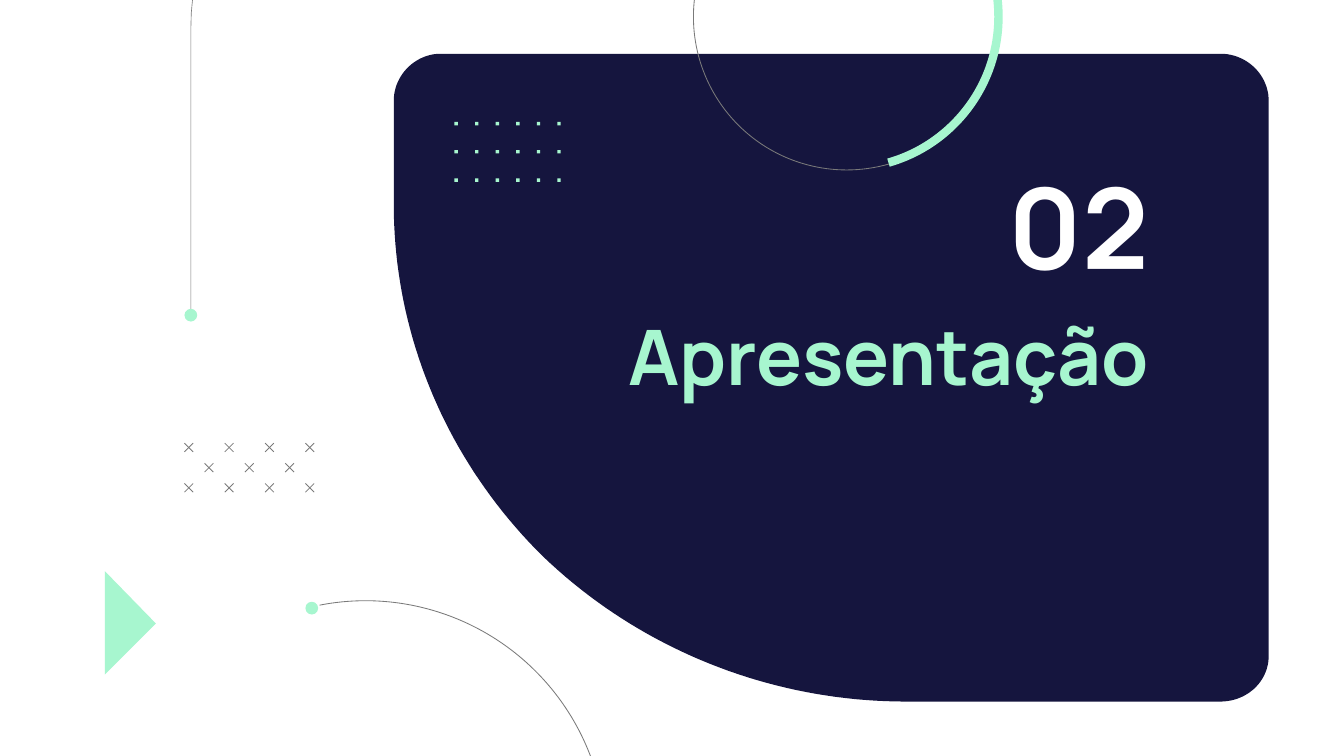
from dataclasses import dataclass
from typing import NamedTuple

from pptx import Presentation
from pptx.dml.color import RGBColor
from pptx.enum.shapes import MSO_CONNECTOR, MSO_SHAPE
from pptx.enum.text import MSO_ANCHOR, PP_ALIGN
from pptx.oxml.ns import qn
from pptx.util import Inches, Pt
from lxml import etree

ARC, OVAL, RECT = MSO_SHAPE.ARC, MSO_SHAPE.OVAL, MSO_SHAPE.RECTANGLE
STRAIGHT = MSO_CONNECTOR.STRAIGHT
TOP, BOTTOM = MSO_ANCHOR.TOP, MSO_ANCHOR.BOTTOM
RIGHT = PP_ALIGN.RIGHT

COLUMNS, ROWS = 100, 56.25
CELL = Inches(0.1)
CURVE_STEPS = 40
ARC_DEGREE = 0.6


@dataclass(frozen=True)
class Theme:
    navy: RGBColor = RGBColor.from_string("15153E")
    mint: RGBColor = RGBColor.from_string("A7F6CF")
    grey: RGBColor = RGBColor.from_string("7A7A7A")
    white: RGBColor = RGBColor.from_string("FFFFFF")
    font: str = "Manrope"
    number_size: float = 60
    title_size: float = 41
    hairline: float = 0.35
    thin: float = 0.44
    thick: float = 4.5


class Point(NamedTuple):
    col: float
    row: float


class Label(NamedTuple):
    text: str
    col: float
    row: float
    cols: float
    rows: float
    size: float
    color: RGBColor
    anchor: MSO_ANCHOR
    bottom_inset: float


class Arc(NamedTuple):
    center: Point
    radius: float
    start: float
    end: float
    color: RGBColor
    width: float


class Grid(NamedTuple):
    origin: Point
    columns: int
    rows: int
    col_step: float
    row_step: float

    def points(self) -> list[Point]:
        return [Point(self.origin.col + i * self.col_step, self.origin.row + j * self.row_step)
                for j in range(self.rows) for i in range(self.columns)]


def cells(*values: float) -> list[int]:
    return [round(v * CELL) for v in values]


def curve(a: Point, b: Point, c: Point, d: Point) -> list[Point]:
    points = []
    for i in range(CURVE_STEPS + 1):
        t = i / CURVE_STEPS
        weights = ((1 - t) ** 3, 3 * t * (1 - t) ** 2, 3 * t * t * (1 - t), t ** 3)
        points.append(Point(sum(w * p.col for w, p in zip(weights, (a, b, c, d))),
                            sum(w * p.row for w, p in zip(weights, (a, b, c, d)))))
    return points


def paint_fill(sp, color: RGBColor) -> None:
    sp.shadow.inherit = False
    sp.fill.solid()
    sp.fill.fore_color.rgb = color
    sp.line.fill.background()


def paint_line(sp, color: RGBColor, width: float) -> None:
    sp.line.color.rgb = color
    sp.line.width = Pt(width)


def add_outline(s, points: list[Point], closed: bool):
    builder = s.shapes.build_freeform(*cells(*points[0]))
    builder.add_line_segments([cells(*p) for p in points[1:]], close=closed)
    return builder.convert_to_shape()


def add_mark(s, kind: MSO_SHAPE, center: Point, size: float, color: RGBColor) -> None:
    half = size / 2
    sp = s.shapes.add_shape(kind, *cells(center.col - half, center.row - half, size, size))
    paint_fill(sp, color)


def add_arc(s, arc: Arc) -> None:
    (col, row), r = arc.center, arc.radius
    sp = s.shapes.add_shape(ARC, *cells(col - r, row - r, 2 * r, 2 * r))
    sp.adjustments[0] = arc.start * ARC_DEGREE
    sp.adjustments[1] = arc.end * ARC_DEGREE
    sp.shadow.inherit = False
    sp.fill.background()
    paint_line(sp, arc.color, arc.width)


def add_cross(s, center: Point, size: float, theme: Theme) -> None:
    half = size / 2
    for rise in (half, -half):
        line = s.shapes.add_connector(STRAIGHT, *cells(
            center.col - half, center.row - rise, center.col + half, center.row + rise))
        paint_line(line, theme.grey, theme.thin)
        etree.SubElement(line._element.spPr, qn("a:effectLst"))


def add_label(s, label: Label, theme: Theme) -> None:
    tf = s.shapes.add_textbox(*cells(label.col, label.row, label.cols, label.rows)).text_frame
    tf.word_wrap = True
    tf.vertical_anchor = label.anchor
    tf.margin_left = tf.margin_right = tf.margin_top = CELL
    tf.margin_bottom = cells(label.bottom_inset)[0]
    tf.text = label.text
    p = tf.paragraphs[0]
    p.alignment = RIGHT
    r = p.runs[0]
    r.font.name = theme.font
    r.font.size = Pt(label.size)
    r.font.bold = True
    r.font.color.rgb = label.color


def main() -> None:
    theme = Theme()
    prs = Presentation()
    prs.slide_width, prs.slide_height = cells(COLUMNS, ROWS)
    s = prs.slides.add_slide(prs.slide_layouts[6])

    panel = [
        *curve(Point(90.8, 4), Point(92.8, 4), Point(94.4, 5.6), Point(94.4, 7.5)),
        *curve(Point(94.4, 48.8), Point(94.4, 50.7), Point(92.8, 52.2), Point(90.8, 52.2)),
        *curve(Point(67.4, 52.2), Point(57.3, 52.2), Point(47.6, 48.3), Point(40.4, 41.4)),
        *curve(Point(40.4, 41.4), Point(33.3, 34.4), Point(29.3, 25), Point(29.3, 15.2)),
        *curve(Point(29.3, 7.5), Point(29.3, 5.6), Point(30.9, 4), Point(32.8, 4)),
    ]
    triangle = [Point(7.8, 42.5), Point(11.6, 46.4), Point(7.8, 50.2)]
    for points, color in ((panel, theme.navy), (triangle, theme.mint)):
        paint_fill(add_outline(s, points, True), color)

    for label in (
        Label("Apresentação", 40.2, 22, 46.3, 15.8, theme.title_size, theme.mint, TOP, 1),
        Label("02", 73.9, 11, 12.6, 10.7, theme.number_size, theme.white, BOTTOM, 0),
    ):
        add_label(s, label, theme)

    for grid in (Grid(Point(14.05, 33.3), 4, 2, 3, 3), Grid(Point(15.55, 34.8), 3, 1, 3, 3)):
        for center in grid.points():
            add_cross(s, center, 0.65, theme)

    for center in Grid(Point(33.95, 9.2), 6, 3, 1.53, 2.1).points():
        add_mark(s, RECT, center, 0.26, theme.mint)

    stem = [Point(14.2, 23.5), *curve(
        Point(14.2, 2.1), Point(14.2, -13.2), Point(32.9, -25.6), Point(56, -25.6))]
    stem_line = add_outline(s, stem, False)
    stem_line.shadow.inherit = False
    stem_line.fill.background()
    paint_line(stem_line, theme.grey, theme.hairline)

    ring = Point(63, 1.25)
    for arc in (
        Arc(ring, 11.4, 74, 344, theme.grey, theme.thin),
        Arc(ring, 11.3, 344, 74, theme.mint, theme.thick),
        Arc(Point(27.2, 62.6), 17.9, 259, 170, theme.grey, theme.thin),
    ):
        add_arc(s, arc)

    for center in (Point(14.2, 23.45), Point(23.2, 45.25)):
        add_mark(s, OVAL, center, 0.95, theme.mint)

    prs.save("out.pptx")


if __name__ == "__main__":
    main()
